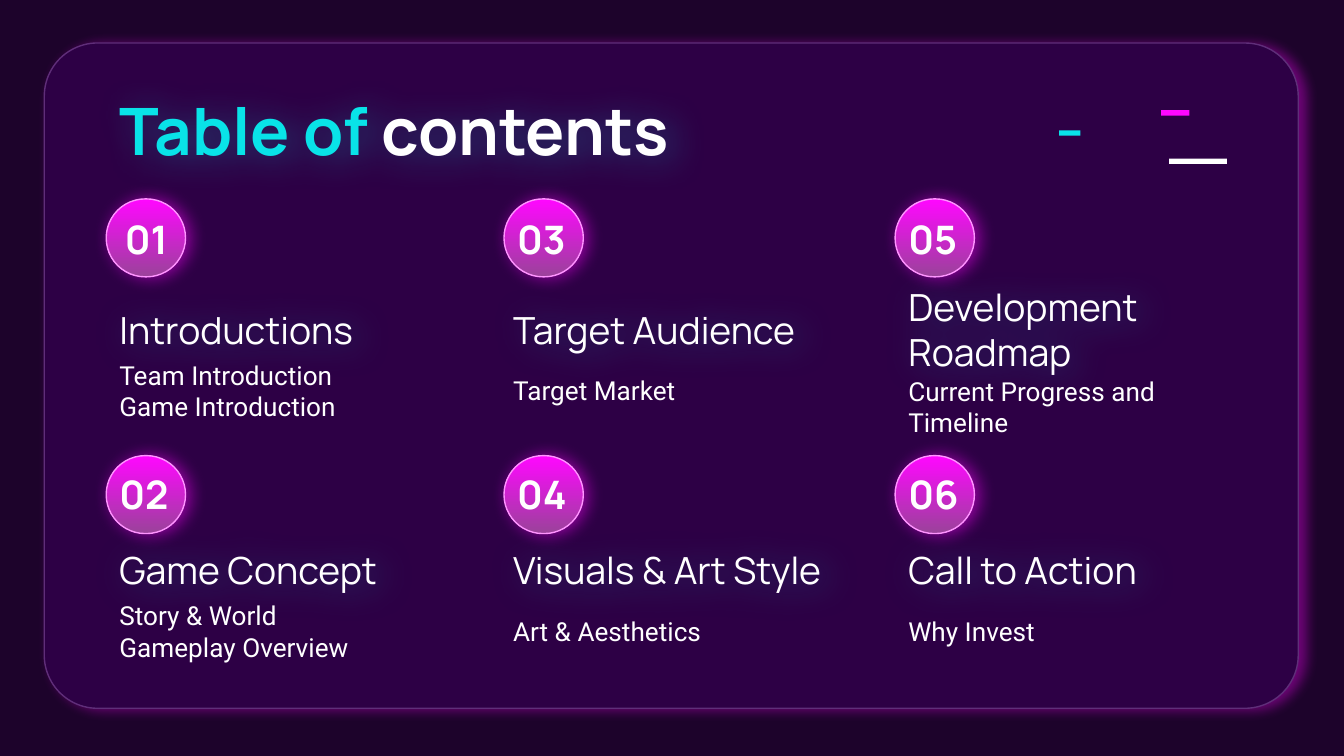
import pptx
import pptx.dml.color
import pptx.enum.shapes
import pptx.enum.text
import pptx.oxml
import pptx.oxml.ns
import pptx.util
from pptx.util import Inches

WHITE, CYAN, MAGENTA = "FFFFFF", "09E3E8", "FF07FF"
NIGHT, CARD, CARD_EDGE = "1D032B", "2D0045", "5F2E79"
BADGE_END, BADGE_EDGE = "9B429B", "FF94FF"

BADGE_LEFTS = (0.79, 3.75, 6.66)
TEXT_LEFTS = (0.79, 3.72, 6.66)
BADGE_TOPS = (1.48, 3.39)
NUMBER_TOPS = (1.45, 3.35)
HEADING_TOPS = (2.16, 3.95)
DETAIL_OFFSET = 0.48

# Sections run down each column: heading, details, extra drop of the details
SECTIONS = (
    ("Introductions", ("Team Introduction", "Game Introduction"), 0),
    ("Game Concept", ("Story & World", "Gameplay Overview"), 0),
    ("Target Audience", ("Target Market",), 0),
    ("Visuals & Art Style", ("Art & Aesthetics",), 0),
    ("Development Roadmap", ("Current Progress and Timeline",), 0.12),
    ("Call to Action", ("Why Invest",), 0),
)

# Left, top, width, colour
DASHES = (
    (8.7, 1.18, 0.43, WHITE),
    (8.64, 0.82, 0.21, MAGENTA),
    (7.88, 0.97, 0.16, CYAN),
)


def rgb(color):
    return pptx.dml.color.RGBColor.from_string(color)


def add_glow(shape, color, alpha, blur, distance, angle=0):
    """Give the shape a soft coloured shadow; alpha in percent, lengths in points."""
    effects = pptx.oxml.parse_xml(
        f'<a:effectLst {pptx.oxml.ns.nsdecls("a")}>'
        f'<a:outerShdw blurRad="{pptx.util.Pt(blur)}" dist="{pptx.util.Pt(distance)}" '
        f'dir="{angle * 60000}" algn="bl" rotWithShape="0">'
        f'<a:srgbClr val="{color}"><a:alpha val="{alpha * 1000}"/></a:srgbClr>'
        '</a:outerShdw></a:effectLst>')
    properties = shape._element.spPr
    for old in properties.findall(pptx.oxml.ns.qn("a:effectLst")):
        properties.remove(old)
    properties.append(effects)


def add_panel(slide, left, top, width, height, fill, fill_end=None, edge=None, corner=0):
    """Add a rectangle, rounded if corner is set and shaded if fill_end is set."""
    kinds = pptx.enum.shapes.MSO_SHAPE
    panel = slide.shapes.add_shape(
        kinds.ROUNDED_RECTANGLE if corner else kinds.RECTANGLE,
        Inches(left), Inches(top), Inches(width), Inches(height))
    panel.shadow.inherit = False
    if corner:
        panel.adjustments[0] = corner
    if fill_end:
        panel.fill.gradient()
        panel.fill.gradient_angle = 270
        for stop, color in zip(panel.fill.gradient_stops, (fill, fill_end)):
            stop.color.rgb = rgb(color)
    else:
        panel.fill.solid()
        panel.fill.fore_color.rgb = rgb(fill)
    if edge:
        panel.line.color.rgb = rgb(edge)
        panel.line.width = pptx.util.Pt(0.75)
    else:
        panel.line.fill.background()
    return panel


def add_text(slide, paragraphs, left, top, width, height, *, size, font="Manrope", bold=False):
    """Add a text box; each paragraph is a list of (text, colour) runs."""
    box = slide.shapes.add_textbox(Inches(left), Inches(top), Inches(width), Inches(height))
    frame = box.text_frame
    frame.word_wrap = True
    frame.vertical_anchor = pptx.enum.text.MSO_ANCHOR.MIDDLE
    frame.margin_left = frame.margin_right = Inches(0.1)
    frame.margin_top = frame.margin_bottom = Inches(0.1)
    for index, runs in enumerate(paragraphs):
        paragraph = frame.add_paragraph() if index else frame.paragraphs[0]
        for text, color in runs:
            run = paragraph.add_run()
            run.text = text
            run.font.name = font
            run.font.size = pptx.util.Pt(size)
            run.font.bold = bold
            run.font.color.rgb = rgb(color)
    return box


def add_heading(slide, runs, left, top, width, height, **text_format):
    heading = add_text(slide, [runs], left, top, width, height, **text_format)
    add_glow(heading, CYAN, 30, 19, 4, 19)


def add_badge(slide, number, column, row):
    left = BADGE_LEFTS[column]
    badge = add_panel(slide, left, BADGE_TOPS[row], 0.59, 0.58, MAGENTA,
                      fill_end=BADGE_END, edge=BADGE_EDGE, corner=0.5)
    add_glow(badge, MAGENTA, 50, 9, 2.2)
    number_left = 0.83 if number == 1 else left
    add_text(slide, [[(f"{number:02d}", WHITE)]], number_left, NUMBER_TOPS[row], 1.39, 0.65,
             size=21, bold=True)


def add_section(slide, number, heading, details, drop):
    column, row = divmod(number - 1, len(HEADING_TOPS))
    left, top = TEXT_LEFTS[column], HEADING_TOPS[row]
    add_badge(slide, number, column, row)
    add_heading(slide, [(heading, WHITE)], left, top, 2.73, 0.58, size=20)
    add_text(slide, [[(detail, WHITE)] for detail in details],
             left, top + DETAIL_OFFSET + drop, 2.56, 0.53, size=14, font="Roboto")


def main():
    deck = pptx.Presentation()
    deck.slide_width, deck.slide_height = Inches(10), Inches(5.625)
    slide = deck.slides.add_slide(deck.slide_layouts[6])
    slide.background.fill.solid()
    slide.background.fill.fore_color.rgb = rgb(NIGHT)

    card = add_panel(slide, 0.33, 0.32, 9.33, 4.95, CARD, edge=CARD_EDGE, corner=0.08)
    add_glow(card, MAGENTA, 36, 6.8, 3.8, 19)
    for left, top, width, color in DASHES:
        add_panel(slide, left, top, width, 0.04, color)

    for number, section in enumerate(SECTIONS, start=1):
        add_section(slide, number, *section)
    add_heading(slide, [("Table of", CYAN), (" contents", WHITE)], 0.79, 0.65, 8.43, 0.63,
                size=35, bold=True)
    deck.save("out.pptx")


if __name__ == "__main__":
    main()
